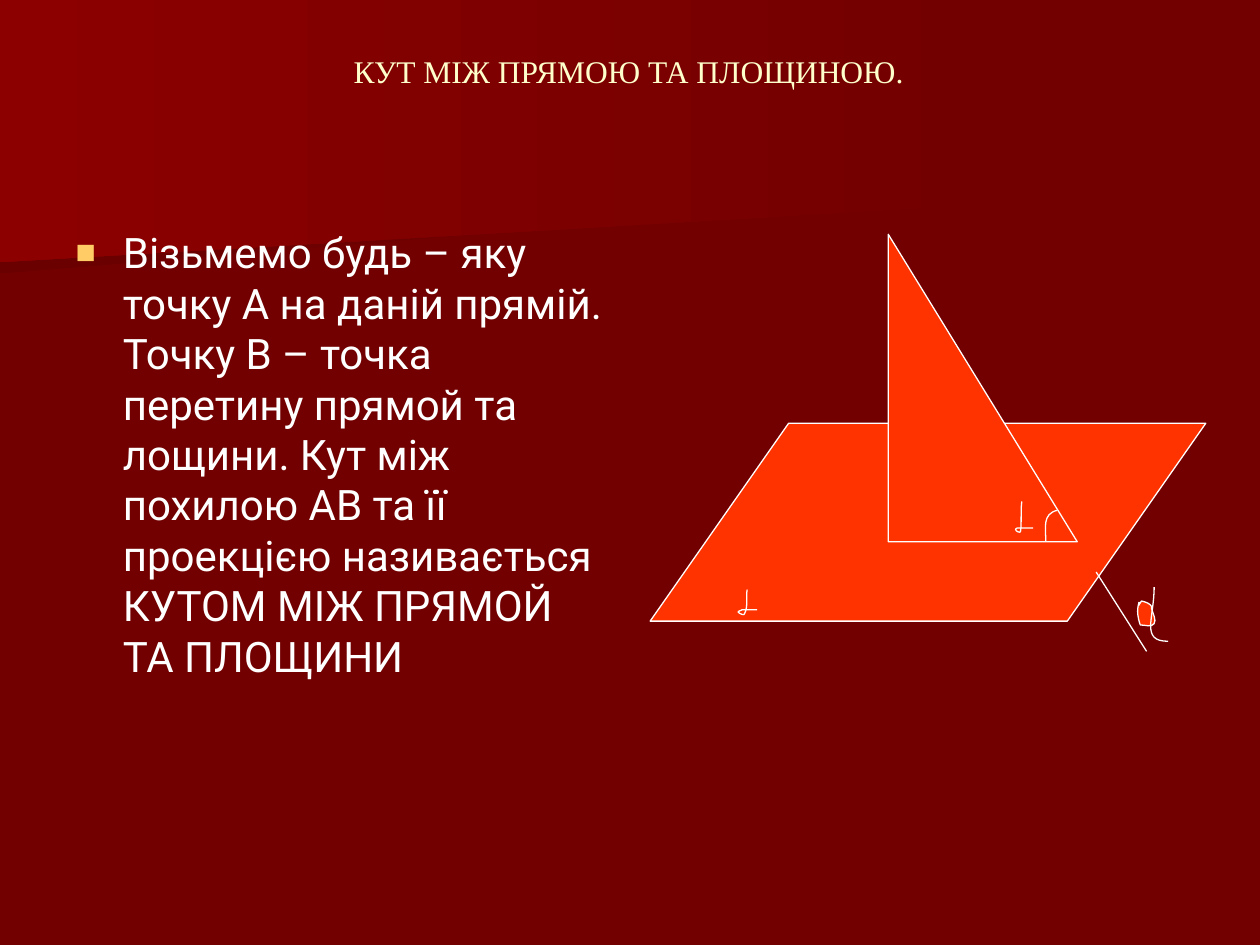
from dataclasses import dataclass
from typing import Optional

import lxml.etree
import pptx
import pptx.dml.color
import pptx.enum.shapes
import pptx.enum.text
import pptx.oxml
import pptx.oxml.ns
import pptx.util
from pptx.util import Inches

RGBColor = pptx.dml.color.RGBColor
DARK_RED = RGBColor(0x72, 0x00, 0x00)
DEEP_RED = RGBColor(0x6A, 0x00, 0x00)
LIGHT_RED = RGBColor(0x8C, 0x00, 0x00)
ORANGE_RED = RGBColor(0xFF, 0x33, 0x00)
WHITE = RGBColor(0xFF, 0xFF, 0xFF)
CREAM = RGBColor(0xFF, 0xFF, 0xCC)
GOLD = RGBColor(0xFF, 0xCC, 0x66)

LINE_WIDTH = pptx.util.Pt(0.75)
BULLET_INDENT = pptx.util.Pt(27)
Point = tuple[float, float]


@dataclass
class Band:
    points: list[Point]
    left_color: RGBColor


@dataclass
class Stroke:
    """A hand-drawn mark: a start, then two controls and an end for each curve."""
    points: list[Point]
    fill: Optional[RGBColor] = None


@dataclass
class Figure:
    kind: pptx.enum.shapes.MSO_SHAPE
    box: tuple[float, float, float, float]
    adjustment: Optional[float] = None


BANDS = [
    Band([(7.78, 1.53), (0, 2.17), (0, 1.01), (7.79, 1.01), (7.78, 1.28)], DEEP_RED),
    Band([(7.92, 1.62), (0, 2.08), (0, 0), (7.92, 0)], LIGHT_RED),
]
FIGURES = [
    Figure(pptx.enum.shapes.MSO_SHAPE.PARALLELOGRAM, (5.16, 3.36, 4.41, 1.57), 0.7),
    Figure(pptx.enum.shapes.MSO_SHAPE.RIGHT_TRIANGLE, (7.05, 1.86, 1.5, 2.44)),
]
ANGLE_MARKS = [
    Stroke([(8.39, 4.05), (8.27, 4.08), (8.3, 4.19), (8.3, 4.3)]),
    Stroke([
        (8.11, 3.98),
        (8.1, 4.06), (8.11, 4.14), (8.1, 4.22),
        (8.1, 4.23), (8.06, 4.22), (8.06, 4.2),
        (8.06, 4.19), (8.08, 4.19), (8.1, 4.19),
        (8.13, 4.19), (8.17, 4.19), (8.2, 4.19),
    ]),
]
LETTER_MARKS = [
    Stroke([
        (9.04, 4.78),
        (9.02, 4.85), (9.03, 4.9), (9.05, 4.96),
        (9.09, 4.96), (9.14, 4.98), (9.16, 4.95),
        (9.18, 4.92), (9.15, 4.87), (9.14, 4.83),
        (9.14, 4.82), (9.14, 4.8), (9.13, 4.8),
        (9.11, 4.78), (9.06, 4.77), (9.06, 4.77),
        (9.03, 4.81), (9.04, 4.82), (9.04, 4.78),
    ], ORANGE_RED),
    Stroke([(9.16, 4.66), (9.16, 4.91), (9.05, 5.09), (9.27, 5.09)]),
    Stroke([
        (5.93, 4.68),
        (5.92, 4.74), (5.94, 4.81), (5.91, 4.87),
        (5.91, 4.89), (5.87, 4.87), (5.86, 4.86),
        (5.85, 4.85), (5.88, 4.85), (5.89, 4.84),
        (5.93, 4.84), (5.97, 4.84), (6.01, 4.84),
    ]),
]
TITLE = "КУТ МІЖ ПРЯМОЮ ТА ПЛОЩИНОЮ."
BODY = ("Візьмемо будь – яку точку А на даній прямій. Точку В – точка перетину "
        "прямой та лощини. Кут між похилою АВ та її проекцією називається "
        "КУТОМ МІЖ ПРЯМОЙ ТА ПЛОЩИНИ")


def add_outline(slide, points: list[Point], close: bool):
    corners = [(Inches(x), Inches(y)) for x, y in points]
    builder = slide.shapes.build_freeform(*corners[0])
    builder.add_line_segments(corners[1:], close=close)
    shape = builder.convert_to_shape()
    shape.shadow.inherit = False
    return shape


def turn_lines_into_curves(shape) -> None:
    """Join every three line segments into one cubic Bézier curve."""
    qn = pptx.oxml.ns.qn
    segments = list(shape._element.iter(qn("a:lnTo")))
    for first, second, third in zip(*[iter(segments)] * 3):
        curve = lxml.etree.Element(qn("a:cubicBezTo"))
        first.addprevious(curve)
        for segment in (first, second, third):
            curve.append(segment[0])
            segment.getparent().remove(segment)


def set_white_line(shape) -> None:
    shape.line.color.rgb = WHITE
    shape.line.width = LINE_WIDTH


def add_band(slide, band: Band) -> None:
    shape = add_outline(slide, band.points, close=True)
    shape.line.fill.background()
    shape.fill.gradient()
    shape.fill.gradient_angle = 180
    for stop, color in zip(shape.fill.gradient_stops, (DARK_RED, band.left_color)):
        stop.color.rgb = color


def add_figure(slide, figure: Figure) -> None:
    shape = slide.shapes.add_shape(figure.kind, *map(Inches, figure.box))
    shape.shadow.inherit = False
    if figure.adjustment is not None:
        shape.adjustments[0] = figure.adjustment
    shape.fill.solid()
    shape.fill.fore_color.rgb = ORANGE_RED
    set_white_line(shape)


def add_stroke(slide, stroke: Stroke) -> None:
    shape = add_outline(slide, stroke.points, close=stroke.fill is not None)
    turn_lines_into_curves(shape)
    if stroke.fill is None:
        shape.fill.background()
    else:
        shape.fill.solid()
        shape.fill.fore_color.rgb = stroke.fill
    set_white_line(shape)


def add_line(slide, start: Point, end: Point) -> None:
    connector = slide.shapes.add_connector(
        pptx.enum.shapes.MSO_CONNECTOR.STRAIGHT, *map(Inches, start + end))
    set_white_line(connector)
    connector._element.spPr.append(pptx.oxml.parse_xml(
        f"<a:effectLst {pptx.oxml.ns.nsdecls('a')}/>"))


def fill_placeholder(shape, box, text: str, font_name: str, size: int, color: RGBColor):
    """Place and fill a placeholder in front of the shapes drawn so far."""
    shape.left, shape.top, shape.width, shape.height = map(Inches, box)
    frame = shape.text_frame
    frame.auto_size = pptx.enum.text.MSO_AUTO_SIZE.NONE
    frame.word_wrap = True
    frame.vertical_anchor = pptx.enum.text.MSO_ANCHOR.TOP
    paragraph = frame.paragraphs[0]
    run = paragraph.add_run()
    run.text = text
    run.font.name = font_name
    run.font.size = pptx.util.Pt(size)
    run.font.color.rgb = color
    shape._element.getparent().append(shape._element)
    return paragraph


def set_square_bullet(paragraph) -> None:
    properties = paragraph._p.get_or_add_pPr()
    properties.set("marL", str(BULLET_INDENT))
    properties.set("indent", str(-BULLET_INDENT))
    for tag in (f'<a:buClr {{}}><a:srgbClr val="{GOLD}"/></a:buClr>',
                '<a:buSzPct {} val="80000"/>',
                '<a:buFont {} typeface="Arial"/>',
                '<a:buChar {} char="■"/>'):
        properties.append(pptx.oxml.parse_xml(tag.format(pptx.oxml.ns.nsdecls("a"))))


def main() -> None:
    presentation = pptx.Presentation()
    presentation.slide_width, presentation.slide_height = Inches(10), Inches(7.5)
    slide = presentation.slides.add_slide(presentation.slide_layouts[1])
    slide.background.fill.solid()
    slide.background.fill.fore_color.rgb = DARK_RED
    for band in BANDS:
        add_band(slide, band)
    body = fill_placeholder(slide.placeholders[1], (0.5, 1.75, 4.42, 4.92),
                            BODY, "Roboto", 24, WHITE)
    body.space_before = pptx.util.Pt(6)
    set_square_bullet(body)
    for figure in FIGURES:
        add_figure(slide, figure)
    for stroke in ANGLE_MARKS:
        add_stroke(slide, stroke)
    add_line(slide, (8.7, 4.54), (9.1, 5.17))
    for stroke in LETTER_MARKS:
        add_stroke(slide, stroke)
    title = fill_placeholder(slide.shapes.title, (0.59, 0.36, 8.8, 1.26),
                             TITLE, "Times New Roman", 18, CREAM)
    title.alignment = pptx.enum.text.PP_ALIGN.CENTER
    presentation.save("out.pptx")


if __name__ == "__main__":
    main()
